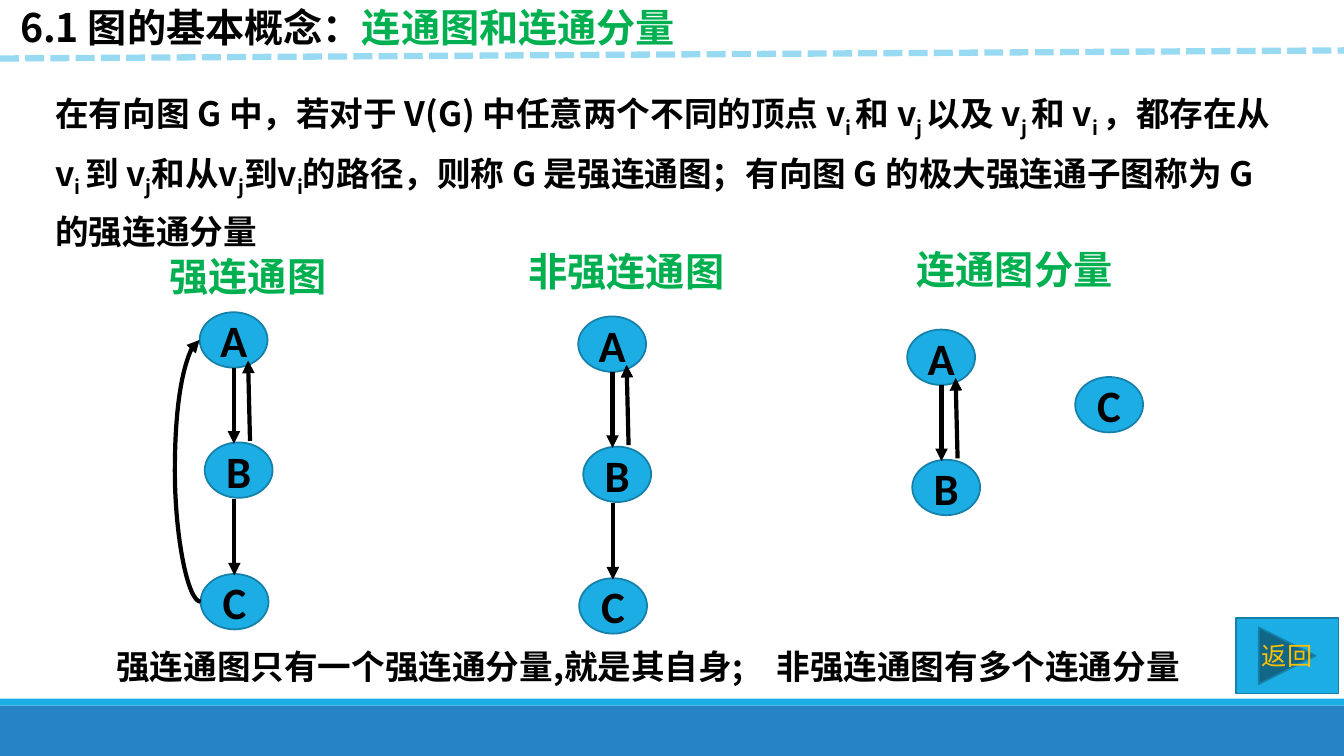
from lxml.etree import SubElement
from pptx import Presentation
from pptx.dml.color import RGBColor
from pptx.enum.dml import MSO_LINE
from pptx.enum.shapes import MSO_CONNECTOR as LINK, MSO_SHAPE as SHAPE
from pptx.enum.text import MSO_ANCHOR as ANCHOR, MSO_AUTO_SIZE as FIT, PP_ALIGN as ALIGN
from pptx.oxml.ns import qn
from pptx.util import Pt

BLACK = RGBColor(0x00, 0x00, 0x00)
GREEN = RGBColor(0x00, 0xB0, 0x50)
SKY = RGBColor(0x1C, 0xAD, 0xE4)
SKY_EDGE = RGBColor(0x15, 0x80, 0xA9)
SKY_PALE = RGBColor(0x99, 0xDA, 0xF3)
BLUE = RGBColor(0x26, 0x83, 0xC6)
GOLD = RGBColor(0xFF, 0xC0, 0x00)

HAN_FONT = "Noto Sans CJK SC"
LATIN_FONT = "Calibri"
SLIDE_W, SLIDE_H = 960, 540
NODE_W, NODE_H = 48.5, 39.6
CURVE_W, CURVE_BULGE = 0.72, 18

NODE_OFFSETS = {"A": (0, 0), "B": (3.6, 93), "C": (0.7, 187)}
ARROWS_AB = [((24.5, 39.6), (24.5, 94)), ((36, 92), (34.6, 34.6))]
ARROW_BC = ((24.8, 133.4), (24.8, 188))

DEFINITION = [
    "在有向图 G 中，若对于 V(G) 中任意两个不同的顶点 v", "i ", "和 v", "j ",
    "以及 v", "j ", "和 v", "i ", "，都存在从v", "i ", "到 v", "j",
    "和从v", "j", "到v", "i",
    "的路径，则称 G 是强连通图；有向图 G 的极大强连通子图称为 G的强连通分量",
]


def format_run(run, size, color, font=HAN_FONT, bold=True):
    run.font.size = Pt(size)
    run.font.bold = bold
    run.font.color.rgb = color
    run.font.name = font
    SubElement(run.font._element, qn("a:ea"), typeface=font)


def add_text(slide, box, text, size, color, wrap=True):
    textbox = slide.shapes.add_textbox(*map(Pt, box))
    frame = textbox.text_frame
    frame.word_wrap = wrap
    frame.auto_size = FIT.SHAPE_TO_FIT_TEXT
    frame.text = text
    paragraph = frame.paragraphs[0]
    paragraph.alignment = ALIGN.CENTER
    for run in paragraph.runs:
        format_run(run, size, color)
    return paragraph


def add_filled(slide, preset, box, fill, edge=None):
    filled = slide.shapes.add_shape(preset, *map(Pt, box))
    filled.shadow.inherit = False
    filled.fill.solid()
    filled.fill.fore_color.rgb = fill
    if edge is None:
        filled.line.fill.background()
    else:
        filled.line.color.rgb = edge
        filled.line.width = Pt(1.25)
    return filled


def add_labelled(slide, preset, box, label, size, color, bold):
    labelled = add_filled(slide, preset, box, SKY, SKY_EDGE)
    frame = labelled.text_frame
    frame.text = label
    frame.vertical_anchor = ANCHOR.MIDDLE
    frame.paragraphs[0].alignment = ALIGN.CENTER
    format_run(frame.paragraphs[0].runs[0], size, color, LATIN_FONT, bold)


def add_line(slide, start, end, color=BLACK, width=3, kind=LINK.STRAIGHT):
    line = slide.shapes.add_connector(kind, *map(Pt, start + end))
    line.line.color.rgb = color
    line.line.width = Pt(width)
    SubElement(line._element.spPr, qn("a:effectLst"))
    return line


def add_arrowhead(line, end):
    SubElement(line.line._get_or_add_ln(), qn(end), type="triangle")


def add_node(slide, label, left, top):
    add_labelled(slide, SHAPE.OVAL, (left, top, NODE_W, NODE_H), label, 32, BLACK, True)


def add_graph(slide, left, top, labels, arrows):
    for label in labels:
        dx, dy = NODE_OFFSETS[label]
        add_node(slide, label, left + dx, top + dy)
    for (x1, y1), (x2, y2) in arrows:
        arrow = add_line(slide, (left + x1, top + y1), (left + x2, top + y2))
        add_arrowhead(arrow, "a:tailEnd")


def add_return_curve(slide, left, top):
    start = (left, top + NODE_H / 2)
    end = (left + CURVE_W, start[1] + NODE_OFFSETS["C"][1])
    curve = add_line(slide, start, end, kind=LINK.CURVE)
    add_arrowhead(curve, "a:headEnd")
    geometry = curve._element.spPr.find(qn("a:prstGeom"))
    guides = geometry.find(qn("a:avLst"))
    if guides is None:
        guides = SubElement(geometry, qn("a:avLst"))
    bend = round(-CURVE_BULGE / CURVE_W * 100000)
    SubElement(guides, qn("a:gd"), name="adj1", fmla=f"val {bend}")


def fill_title(slide):
    title = slide.shapes.title
    title.left, title.top, title.width, title.height = map(Pt, (7.2, -1.4, 519, 41))
    frame = title.text_frame
    frame.auto_size = FIT.NONE
    frame.vertical_anchor = ANCHOR.TOP
    frame.text = "6.1 图的基本概念："
    heading = frame.paragraphs[0]
    heading.alignment = ALIGN.LEFT
    heading.add_run().text = "连通图和连通分量"
    for run, color in zip(heading.runs, (BLACK, GREEN)):
        format_run(run, 28, color)


def add_definition(slide):
    paragraph = add_text(slide, (32.4, 53.3, 890, 121), "", 24, BLACK)
    paragraph.alignment = ALIGN.LEFT
    paragraph.line_spacing = 1.3
    for index, part in enumerate(DEFINITION):
        run = paragraph.add_run()
        run.text = part
        format_run(run, 24, BLACK)
        if index % 2:
            run.font._element.set("baseline", "-25000")


def main():
    deck = Presentation()
    deck.slide_width, deck.slide_height = Pt(SLIDE_W), Pt(SLIDE_H)
    slide = deck.slides.add_slide(deck.slide_layouts[5])

    add_filled(slide, SHAPE.RECTANGLE, (0, 504, SLIDE_W, 36), BLUE)
    add_filled(slide, SHAPE.RECTANGLE, (0, 499, SLIDE_W, 5), SKY)
    fill_title(slide)
    divider = add_line(slide, (0, 41.8), (SLIDE_W, 36), SKY_PALE, 4.5)
    divider.line.dash_style = MSO_LINE.SQUARE_DOT
    add_definition(slide)

    for caption, left, top, width in (
        ("强连通图", 113.8, 176.4, 126.7),
        ("非强连通图", 370, 172.8, 154.8),
        ("连通图分量", 646.6, 171.4, 156.2),
    ):
        add_text(slide, (left, top, width, 41), caption, 28, GREEN, False)

    add_graph(slide, 142.6, 223, "ABC", ARROWS_AB + [ARROW_BC])
    add_return_curve(slide, 142.6, 223)
    add_graph(slide, 413, 226, "ABC", ARROWS_AB + [ARROW_BC])
    add_graph(slide, 648, 235.4, "AB", ARROWS_AB)
    add_node(slide, "C", 768, 269.3)

    add_text(slide, (32.4, 458, 861, 36),
             "强连通图只有一个强连通分量,就是其自身;　非强连通图有多个连通分量", 24, BLACK)
    add_labelled(slide, SHAPE.ACTION_BUTTON_FORWARD_OR_NEXT,
                 (882.7, 441.4, 73.4, 54), "返回", 18, GOLD, False)
    deck.save("out.pptx")


if __name__ == "__main__":
    main()
